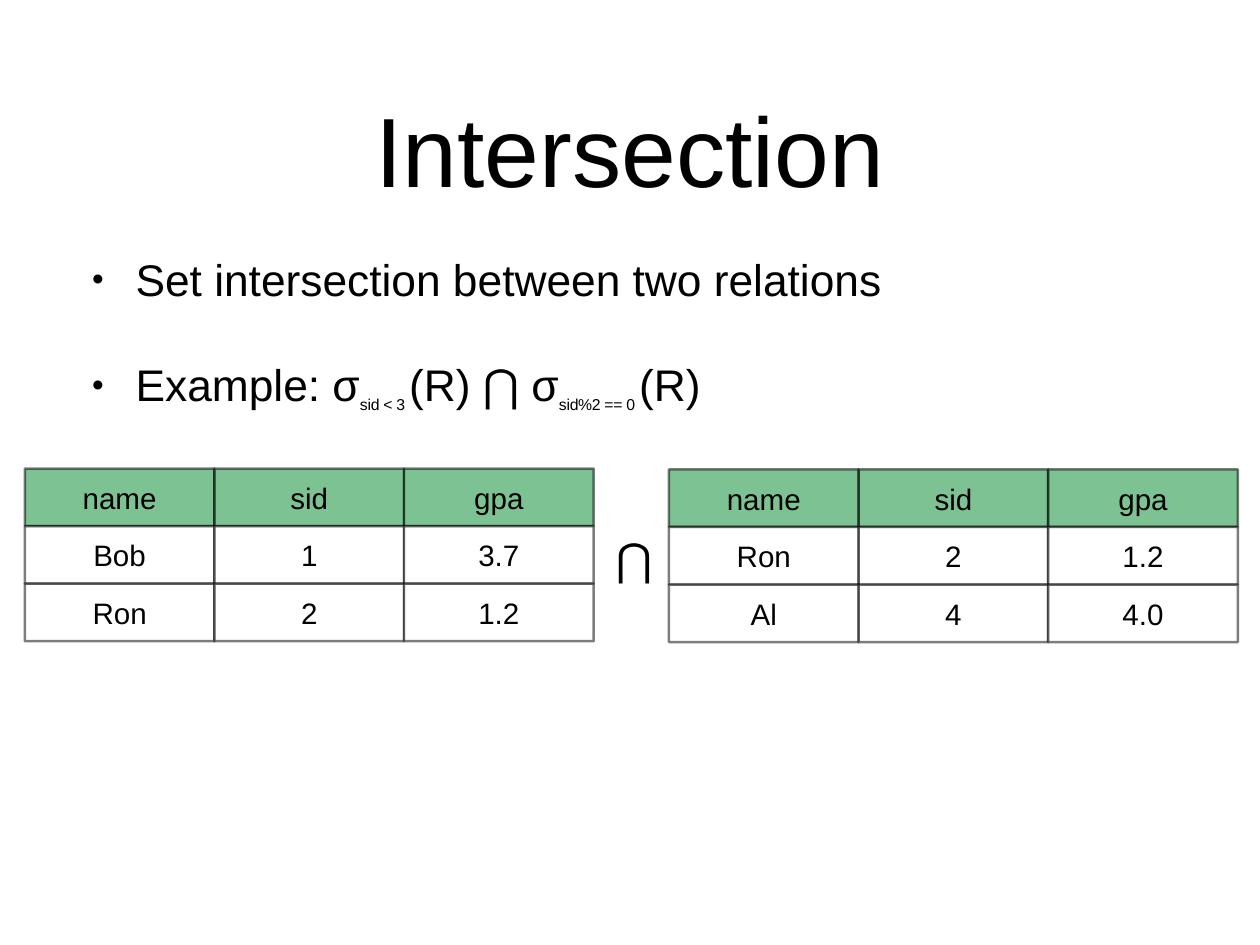
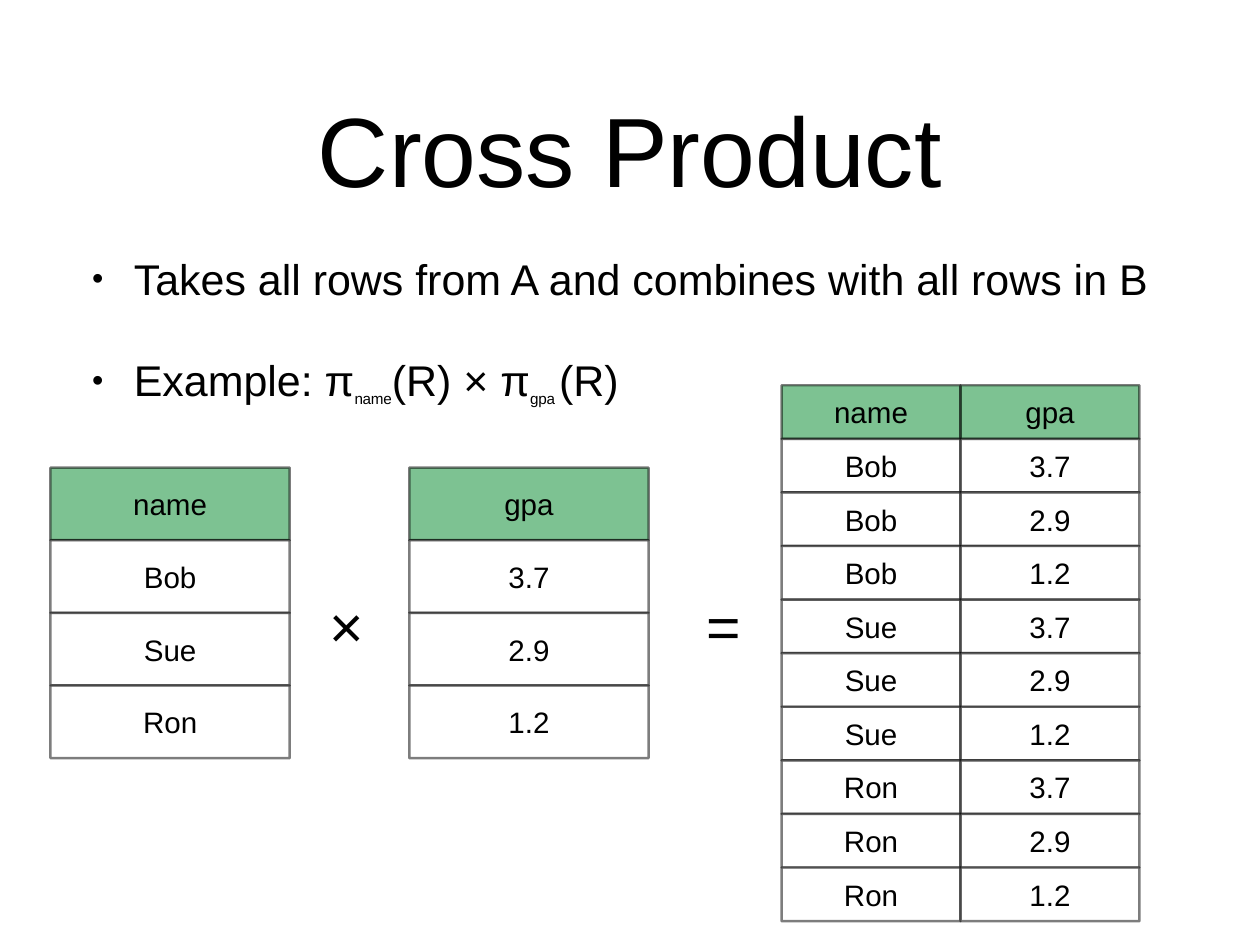
from itertools import product

from lxml.etree import SubElement
from pptx import Presentation
from pptx.dml.color import RGBColor
from pptx.enum.shapes import MSO_SHAPE
from pptx.enum.text import MSO_ANCHOR, MSO_AUTO_SIZE, PP_ALIGN
from pptx.oxml.ns import qn
from pptx.util import Inches, Pt

COLORS = {"text": "000000", "line": "000000", "header": "00882B", "cell": "FFFFFF"}
FONT = "Arial"
OPACITY = "51000"
NAMES = ["Bob", "Sue", "Ron"]
GPAS = ["3.7", "2.9", "1.2"]

# Bullets are lists of (text, is_subscript); grids are (left, top, column width,
# total height, rows); operators are (symbol, left, top, width, height, size).
PAGES = [
    {
        "title": "Intersection",
        "size": 36, "subscript": 22, "indent": 0.49, "gap": 42,
        "bullets": [
            [("Set intersection between two relations", False)],
            [("Example: σ", False), ("sid < 3 ", True), ("(R) ⋂ σ", False),
             ("sid%2 == 0 ", True), ("(R)", False)],
        ],
        "grids": [
            (0.28, 5.29, 2.14, 1.95,
             [["name", "sid", "gpa"], ["Bob", "1", "3.7"], ["Ron", "2", "1.2"]]),
            (7.55, 5.3, 2.14, 1.95,
             [["name", "sid", "gpa"], ["Ron", "2", "1.2"], ["Al", "4", "4.0"]]),
        ],
        "operators": [("⋂", 6.89, 6.01, 0.45, 0.57, 36)],
    },
    {
        "title": "Cross Product",
        "size": 34.9, "subscript": 21.3, "indent": 0.47, "gap": 40,
        "bullets": [
            [("Takes all rows from A and combines with all rows in B", False)],
            [("Example: π", False), ("name", True), ("(R) × π", False),
             ("gpa ", True), ("(R)", False)],
        ],
        "grids": [
            (0.57, 5.28, 2.7, 3.28, [["name"]] + [[name] for name in NAMES]),
            (4.62, 5.28, 2.7, 3.28, [["gpa"]] + [[gpa] for gpa in GPAS]),
            (8.82, 4.35, 2.02, 6.05, [["name", "gpa"], *product(NAMES, GPAS)]),
        ],
        "operators": [("×", 3.63, 6.59, 0.57, 0.92, 48),
                      ("=", 7.88, 6.59, 0.57, 0.92, 48)],
    },
]


def add_text(paragraph, text, size, align=PP_ALIGN.CENTER, subscript=False):
    paragraph.alignment = align
    span = paragraph.add_run()
    span.text = text
    span.font.size = Pt(size)
    span.font.name = FONT
    span.font.color.rgb = RGBColor.from_string(COLORS["text"])
    if subscript:
        properties = span.font._element
        properties.set("baseline", "-32000")
        properties.set("spc", "-20")


def set_frame(frame, anchor, margin=0):
    frame.margin_left = frame.margin_right = Inches(margin)
    frame.margin_top = frame.margin_bottom = Inches(margin)
    frame.vertical_anchor = anchor


deck = Presentation()
deck.slide_width, deck.slide_height = Inches(14.22), Inches(10.67)

for content in PAGES:
    page = deck.slides.add_slide(deck.slide_layouts[1])
    title, body = page.placeholders
    for holder, top, height, anchor in [(title, 0.49, 2.36, MSO_ANCHOR.MIDDLE),
                                        (body, 2.85, 2.12, MSO_ANCHOR.TOP)]:
        holder.left, holder.top = Inches(1.04), Inches(top)
        holder.width, holder.height = Inches(12.14), Inches(height)
        set_frame(holder.text_frame, anchor)
        holder.text_frame.auto_size = MSO_AUTO_SIZE.NONE
    add_text(title.text_frame.paragraphs[0], content["title"], 80)

    for index, spans in enumerate(content["bullets"]):
        frame = body.text_frame
        para = frame.add_paragraph() if index else frame.paragraphs[0]
        para.space_before = Pt(content["gap"] if index else 0)
        properties = para._p.get_or_add_pPr()
        properties.set("marL", str(Inches(content["indent"])))
        properties.set("indent", str(-Inches(content["indent"])))
        SubElement(properties, qn("a:buSzPct"), val="75000")
        SubElement(properties, qn("a:buChar"), char="•")
        for text, subscript in spans:
            add_text(para, text, content["subscript" if subscript else "size"],
                     align=PP_ALIGN.LEFT, subscript=subscript)

    # Translucent cells, so that the lines of neighbours add up to a darker tone.
    for left, top, width, total_height, rows in content["grids"]:
        height = total_height / len(rows)
        for row_index, row in enumerate(rows):
            for column_index, text in enumerate(row):
                cell = page.shapes.add_shape(
                    MSO_SHAPE.RECTANGLE,
                    Inches(left + column_index * width),
                    Inches(top + row_index * height),
                    Inches(width), Inches(height))
                cell.shadow.inherit = False
                cell.line.width = Pt(2)
                for fill, color in [(cell.fill, "cell" if row_index else "header"),
                                    (cell.line.fill, "line")]:
                    fill.solid()
                    fill.fore_color.rgb = RGBColor.from_string(COLORS[color])
                for paint in cell._element.spPr.iter(qn("a:srgbClr")):
                    SubElement(paint, qn("a:alpha"), val=OPACITY)
                set_frame(cell.text_frame, MSO_ANCHOR.MIDDLE)
                add_text(cell.text_frame.paragraphs[0], text, 24)

    for symbol, left, top, width, height, size in content["operators"]:
        box = page.shapes.add_textbox(Inches(left), Inches(top),
                                      Inches(width), Inches(height))
        box.text_frame.word_wrap = False
        set_frame(box.text_frame, MSO_ANCHOR.MIDDLE, margin=0.06)
        add_text(box.text_frame.paragraphs[0], symbol, size)

deck.save("out.pptx")
